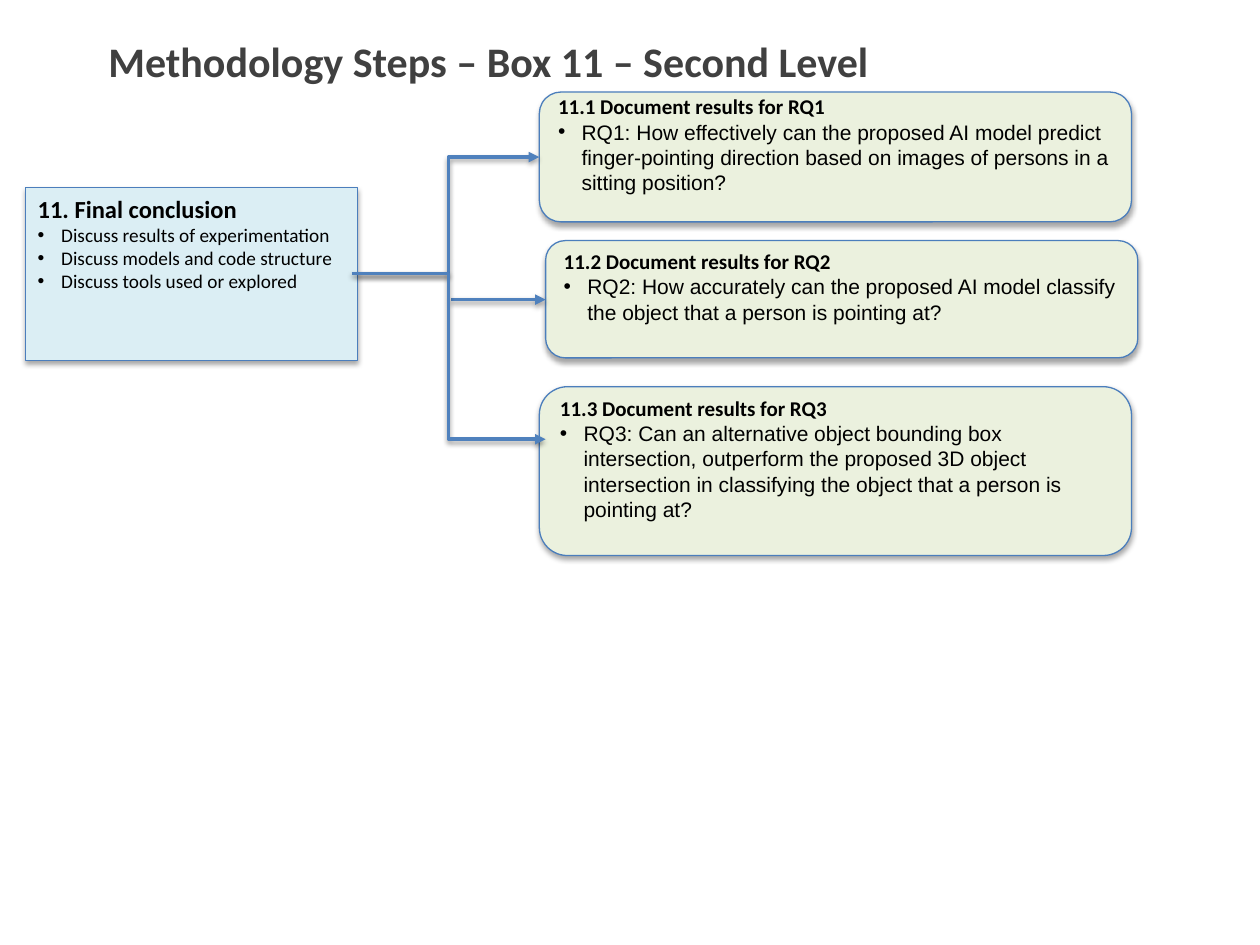
import pptx
import pptx.util
import pptx.dml.color
import pptx.enum.shapes
import pptx.enum.text
import pptx.oxml
import pptx.oxml.ns

Pt = pptx.util.Pt
RGBColor = pptx.dml.color.RGBColor
SHAPE = pptx.enum.shapes.MSO_SHAPE
CONNECTOR = pptx.enum.shapes.MSO_CONNECTOR
ANCHOR = pptx.enum.text.MSO_ANCHOR
ALIGN = pptx.enum.text.PP_ALIGN

BLACK = RGBColor(0x00, 0x00, 0x00)
TITLE_GREY = RGBColor(0x40, 0x40, 0x40)
PALE_BLUE = RGBColor(0xDB, 0xEE, 0xF4)
PALE_GREEN = RGBColor(0xEB, 0xF1, 0xDE)
OUTLINE = RGBColor(0x4B, 0x7E, 0xBC)
ARROW = RGBColor(0x4F, 0x81, 0xBD)

BULLET_INDENT = Pt(13.5)
BLANK_LINE = 14.4


def add_shadow(properties, distance, opacity):
    """Give a shape or connector a soft black shadow straight below it."""
    for old in properties.findall(pptx.oxml.ns.qn("a:effectLst")):
        properties.remove(old)
    properties.append(pptx.oxml.parse_xml(
        f'<a:effectLst {pptx.oxml.ns.nsdecls("a")}>'
        f'<a:outerShdw blurRad="{Pt(3.1)}" dist="{Pt(distance)}" dir="5400000" rotWithShape="0">'
        f'<a:srgbClr val="000000"><a:alpha val="{opacity * 1000}"/></a:srgbClr>'
        '</a:outerShdw></a:effectLst>'))


def add_box(kind, bounds, fill, heading, heading_size, bullets, bullet_font, bullet_size):
    """Add an outlined box with a bold heading above a bulleted list."""
    box = slide.shapes.add_shape(kind, *[Pt(length) for length in bounds])
    box.fill.solid()
    box.fill.fore_color.rgb = fill
    box.line.color.rgb = OUTLINE
    box.line.width = Pt(0.75)
    add_shadow(box._element.spPr, 1.8, 35)
    frame = box.text_frame
    frame.word_wrap = True
    for number, text in enumerate([heading] + bullets):
        paragraph = frame.add_paragraph() if number else frame.paragraphs[0]
        paragraph.text = text
        paragraph.alignment = ALIGN.LEFT
        if number:
            layout = paragraph._p.get_or_add_pPr()
            layout.set("marL", str(BULLET_INDENT))
            layout.set("indent", str(-BULLET_INDENT))
            for tag in ('buFont {} typeface="Arial"', 'buChar {} char="•"'):
                layout.append(pptx.oxml.parse_xml(
                    "<a:" + tag.format(pptx.oxml.ns.nsdecls("a")) + "/>"))
        paragraph.font.name = bullet_font if number else "Calibri"
        paragraph.font.size = Pt(bullet_size if number else heading_size)
        paragraph.font.bold = number == 0
        paragraph.font.color.rgb = BLACK
    return frame


presentation = pptx.Presentation()
presentation.slide_width = Pt(720)
presentation.slide_height = Pt(540)
slide = presentation.slides.add_slide(presentation.slide_layouts[5])

title = slide.shapes.title
title.left, title.top, title.width, title.height = Pt(54.7), Pt(16.6), Pt(610.6), Pt(58.3)
title.text_frame.text = "Methodology Steps – Box 11 – Second Level"
title.text_frame.vertical_anchor = ANCHOR.TOP
heading = title.text_frame.paragraphs[0]
heading.alignment = ALIGN.LEFT
heading.font.name = "Calibri"
heading.font.size = Pt(24)
heading.font.bold = True
heading.font.color.rgb = TITLE_GREY

conclusion = add_box(
    SHAPE.RECTANGLE, (14.4, 107.3, 190, 98.6), PALE_BLUE, "11. Final conclusion", 14,
    ["Discuss results of experimentation",
     "Discuss models and code structure",
     "Discuss tools used or explored"], "Calibri", 11)
conclusion.vertical_anchor = ANCHOR.TOP

# Each question: left, top and height of its box, then its wording
questions = [
    (308.2, 52.6, 74.2, "How effectively can the proposed AI model predict finger-pointing "
     "direction based on images of persons in a sitting position?"),
    (311.8, 137.5, 67, "How accurately can the proposed AI model classify the object "
     "that a person is pointing at?"),
    (308.2, 221, 96.5, "Can an alternative object bounding box intersection, outperform the "
     "proposed 3D object intersection in classifying the object that a person is pointing at?"),
]
for number, (left, top, height, question) in enumerate(questions, start=1):
    result = add_box(
        SHAPE.ROUNDED_RECTANGLE, (left, top, 338.4, height), PALE_GREEN,
        f"11.{number} Document results for RQ{number}", 12,
        [f"RQ{number}: {question}"], "Arial", 12)
    result.vertical_anchor = ANCHOR.MIDDLE
    result.margin_bottom = Pt(3.6 + BLANK_LINE)

arrows = [
    (CONNECTOR.ELBOW, 204.5, 156.4, 308.2, 89.8),
    (CONNECTOR.STRAIGHT, 257.8, 171.2, 311.8, 171.2),
    (CONNECTOR.ELBOW, 200.9, 156.4, 311.8, 251),
]
for kind, *ends in arrows:
    arrow = slide.shapes.add_connector(kind, *[Pt(length) for length in ends])
    arrow.line.color.rgb = ARROW
    arrow.line.width = Pt(2)
    arrow.line._get_or_add_ln().append(pptx.oxml.parse_xml(
        f'<a:tailEnd {pptx.oxml.ns.nsdecls("a")} type="triangle"/>'))
    add_shadow(arrow._element.spPr, 1.6, 38)

presentation.save("out.pptx")
